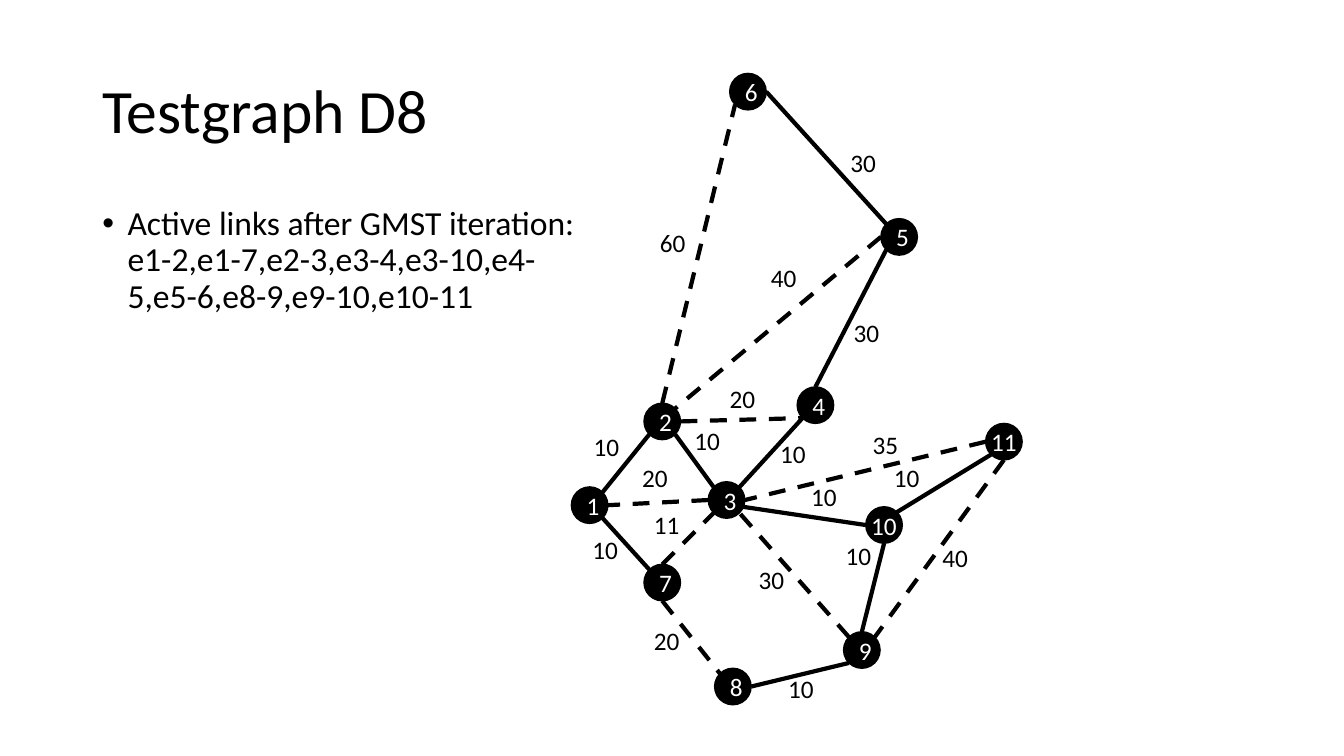
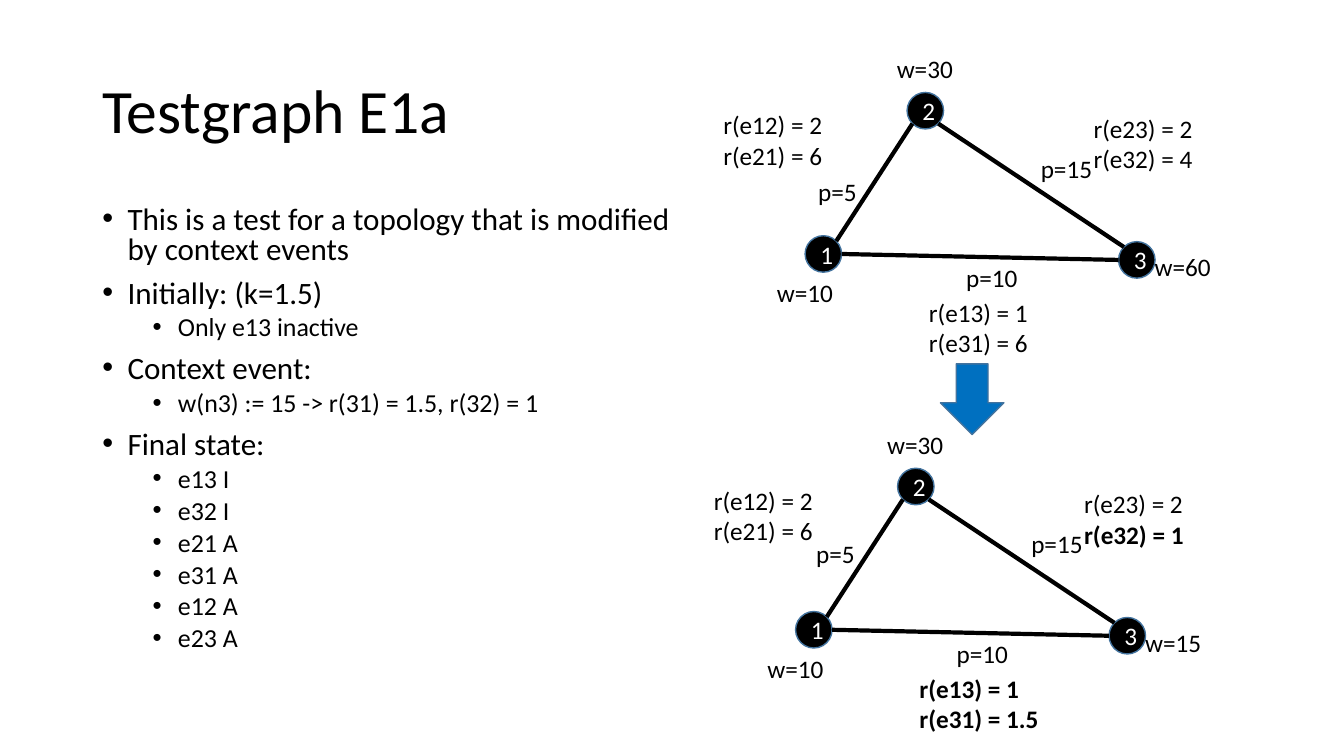
"""Build two slides that show weighted test graphs."""
from lxml import etree
from pptx import Presentation
from pptx import util as u
from pptx.dml.color import RGBColor
from pptx.enum import dml, shapes, text
from pptx.oxml.ns import qn

FONT = "Calibri"
BLACK, WHITE, BLUE, OUTLINE = "000000", "FFFFFF", "0070C0", "43739E"
RADIUS = 0.46
DIAGONAL = 0.707
LABEL_HEIGHT, LABEL_PAIR_HEIGHT = 1.02, 1.8

# Points on a node where edges attach, in units of the radius
SITES = {
    "n": (0, -1), "s": (0, 1), "w": (-1, 0), "e": (1, 0),
    "nw": (-DIAGONAL, -DIAGONAL), "ne": (DIAGONAL, -DIAGONAL),
    "sw": (-DIAGONAL, DIAGONAL), "se": (DIAGONAL, DIAGONAL),
    "ese": (0.61, 0.33),
}

D8_NODES = {
    1: (14.86, 12.73), 2: (16.69, 10.62), 3: (18.31, 12.6), 4: (20.55, 10.21),
    5: (22.66, 5.97), 6: (18.85, 2.31), 7: (16.69, 14.68), 8: (18.47, 17.3),
    9: (21.72, 16.38), 10: (22.28, 13.23), 11: (25.3, 11.13),
}
# Start, site, end, site, active, cost, left and top of the cost
D8_EDGES = [
    (1, "ne", 2, "sw", True, "10", 14.71, 10.74),
    (2, "n", 6, "sw", False, "60", 16.38, 5.61),
    (6, "e", 5, "nw", True, "30", 21.18, 3.58),
    (5, "sw", 4, "n", True, "30", 21.26, 7.87),
    (5, "w", 2, "ne", False, "40", 19.18, 6.48),
    (2, "e", 4, "sw", False, "20", 18.14, 9.53),
    (3, "ne", 4, "sw", True, "10", 19.41, 10.92),
    (2, "se", 3, "nw", True, "10", 17.25, 10.59),
    (3, "w", 1, "e", False, "20", 15.93, 11.53),
    (7, "nw", 1, "se", True, "10", 14.68, 13.34),
    (7, "n", 3, "sw", False, "11", 16.23, 12.7),
    (7, "s", 8, "nw", False, "20", 16.23, 15.62),
    (9, "sw", 8, "e", True, "10", 19.61, 16.84),
    (9, "nw", 3, "se", False, "30", 18.87, 14.1),
    (11, "w", 3, "e", False, "35", 21.74, 10.69),
    (11, "s", 9, "ne", False, "40", 23.5, 13.54),
    (11, "sw", 10, "ne", True, "10", 22.28, 11.53),
    (10, "w", 3, "ese", True, "10", 20.19, 12.01),
    (10, "s", 9, "n", True, "10", 21.06, 13.49),
]
D8_POINTS = [
    (0, "Active links after GMST iteration:\v"
        "e1-2,e1-7,e2-3,e3-4,e3-10,e4-5,e5-6,e8-9,e9-10,e10-11"),
]

E1A_NODES = {1: (20.75, 6.4), 2: (23.32, 2.79), 3: (28.65, 6.55)}
E1A_EDGES = [(1, "ne", 2, "sw"), (3, "nw", 2, "se"), (3, "w", 1, "e")]
# Text, left, top, width
E1A_LABELS = [
    ("p=15", 25.98, 3.73, 1.83), ("p=10", 24.1, 6.48, 1.83),
    ("w=10", 19.33, 6.86, 1.93), ("w=30", 22.35, 1.22, 1.93),
]
E1A_POINTS = [
    (0, "This is a test for a topology that is modified by context events"),
    (0, "Initially: (k=1.5)"),
    (1, "Only e13 inactive"),
    (0, "Context event:"),
    (1, "w(n3) := 15 -> r(31) = 1.5, r(32) = 1"),
    (0, "Final state:"),
] + [(1, state) for state in
     ("e13 I", "e32 I", "e21 A", "e31 A", "e12 A", "e23 A")]


def color(hex_code):
    """Return a colour from its hex string."""
    return RGBColor.from_string(hex_code)


def set_font(paragraph, size, hex_code=BLACK, bold=False):
    """Set the font of a whole paragraph."""
    font = paragraph.font
    font.name, font.size, font.bold = FONT, u.Pt(size), bold
    font.color.rgb = color(hex_code)


def add_box(slide, left, top, width, height, wrap=True):
    """Add a text box and return its frame."""
    frame = slide.shapes.add_textbox(
        u.Cm(left), u.Cm(top), u.Cm(width), u.Cm(height)).text_frame
    frame.word_wrap = wrap
    return frame


def add_title(slide, title):
    """Add the slide title."""
    frame = add_box(slide, 2.33, 1.02, 29.21, 3.68)
    frame.vertical_anchor = text.MSO_ANCHOR.MIDDLE
    heading = frame.paragraphs[0]
    heading.text = title
    heading.line_spacing = 0.9
    set_font(heading, 44)


def add_bullets(slide, points, width, sizes, spacing):
    """Add a bullet list; sizes holds one text size for each level."""
    frame = add_box(slide, 2.33, 5.08, width, 12.09)
    for index, (level, point) in enumerate(points):
        item = frame.add_paragraph() if index else frame.paragraphs[0]
        item.text, item.level = point, level
        item.line_spacing = spacing
        item.space_before = u.Pt(5 if level else 10)
        set_font(item, sizes[level])
        props = item._p.get_or_add_pPr()
        props.set("marL", str(u.Cm(0.635 + 1.27 * level)))
        props.set("indent", str(-u.Cm(0.635)))
        etree.SubElement(props, qn("a:buFont")).set("typeface", "Arial")
        etree.SubElement(props, qn("a:buChar")).set("char", "\u2022")


def add_label(slide, lines, left, top, width, bold=()):
    """Add a label; bold holds the indexes of its bold lines."""
    height = LABEL_PAIR_HEIGHT if len(lines) > 1 else LABEL_HEIGHT
    frame = add_box(slide, left, top, width, height, wrap=False)
    frame.auto_size = text.MSO_AUTO_SIZE.SHAPE_TO_FIT_TEXT
    for index, line in enumerate(lines):
        row = frame.add_paragraph() if index else frame.paragraphs[0]
        row.text = line
        set_font(row, 18, bold=index in bold)


def add_filled(slide, kind, left, top, width, height, fill, outline):
    """Add a preset shape with a fill and a thin outline."""
    figure = slide.shapes.add_shape(
        kind, u.Cm(left), u.Cm(top), u.Cm(width), u.Cm(height))
    figure.shadow.inherit = False
    figure.fill.solid()
    figure.fill.fore_color.rgb = color(fill)
    figure.line.color.rgb = color(outline)
    figure.line.width = u.Pt(1)
    return figure


def add_node(slide, number, center, outline):
    """Add a numbered round node."""
    x, y = center
    node = add_filled(slide, shapes.MSO_SHAPE.OVAL, x - RADIUS, y - RADIUS,
                      2 * RADIUS, 2 * RADIUS, BLACK, outline)
    frame = node.text_frame
    frame.word_wrap = number < 10
    frame.vertical_anchor = text.MSO_ANCHOR.MIDDLE
    digits = frame.paragraphs[0]
    digits.text = str(number)
    digits.alignment = text.PP_ALIGN.CENTER
    set_font(digits, 18, WHITE)


def site_point(center, site):
    """Return the point where an edge meets a node."""
    return [u.Cm(c + RADIUS * d) for c, d in zip(center, SITES[site])]


def add_edge(slide, nodes, start, start_site, end, end_site, active=True):
    """Link two nodes, with dashes if the link is inactive."""
    edge = slide.shapes.add_connector(
        shapes.MSO_CONNECTOR.STRAIGHT,
        *site_point(nodes[start], start_site),
        *site_point(nodes[end], end_site))
    edge.line.color.rgb = color(BLACK)
    edge.line.width = u.Pt(3)
    if not active:
        edge.line.dash_style = dml.MSO_LINE.DASH
    etree.SubElement(edge._element.spPr, qn("a:effectLst"))


def add_triangle(slide, dx, dy, p5, w3, r13, r23, r13_width=3.05,
                 r13_bold=(), r23_bold=()):
    """Add the three-node graph, moved by dx and dy, in one state."""
    nodes = {n: (x + dx, y + dy) for n, (x, y) in E1A_NODES.items()}
    for number, center in nodes.items():
        add_node(slide, number, center, OUTLINE)
    for edge in E1A_EDGES:
        add_edge(slide, nodes, *edge)
    for label, x, y, width in E1A_LABELS + [("p=5", *p5, 1.5),
                                            (w3, 28.85, 6.22, 1.93)]:
        add_label(slide, [label], x + dx, y + dy, width)
    ratios = [
        (["r(e12) = 2", "r(e21) = 6"], 17.98, 2.64, 3.05, ()),
        (r13, 23.16, 7.37, r13_width, r13_bold),
        (r23, 27.31, 2.72, 3.05, r23_bold),
    ]
    for lines, x, y, width, bold in ratios:
        add_label(slide, lines, x + dx, y + dy, width, bold)


def build_d8(slide):
    """Build the slide on graph D8."""
    add_title(slide, "Testgraph D8")
    add_bullets(slide, D8_POINTS, 12.85, (24,), 0.9)
    for *edge, _, _, _ in D8_EDGES:
        add_edge(slide, D8_NODES, *edge)
    for number, center in D8_NODES.items():
        add_node(slide, number, center, BLACK)
    for *_, cost, left, top in D8_EDGES:
        add_label(slide, [cost], left, top, 1.17)


def build_e1a(slide):
    """Build the slide on graph E1a before and after the event."""
    add_title(slide, "Testgraph E1a")
    add_bullets(slide, E1A_POINTS, 15.7, (22.2, 18.5), 0.8)
    add_triangle(slide, 0, 0, (20.37, 4.32), "w=60",
                 ["r(e13) = 1", "r(e31) = 6"], ["r(e23) = 2", "r(e32) = 4"])
    add_triangle(slide, -0.24, 9.47, (20.56, 3.97), "w=15",
                 ["r(e13) = 1", "r(e31) = 1.5"], ["r(e23) = 2", "r(e32) = 1"],
                 r13_width=3.53, r13_bold=(0, 1), r23_bold=(1,))
    add_filled(slide, shapes.MSO_SHAPE.DOWN_ARROW, 23.7, 9.17, 1.6, 1.78,
               BLUE, OUTLINE)


def main():
    """Build and save the presentation."""
    deck = Presentation()
    deck.slide_width, deck.slide_height = u.Cm(33.87), u.Cm(19.05)
    for build in (build_d8, build_e1a):
        build(deck.slides.add_slide(deck.slide_layouts[6]))
    deck.save("out.pptx")


main()
